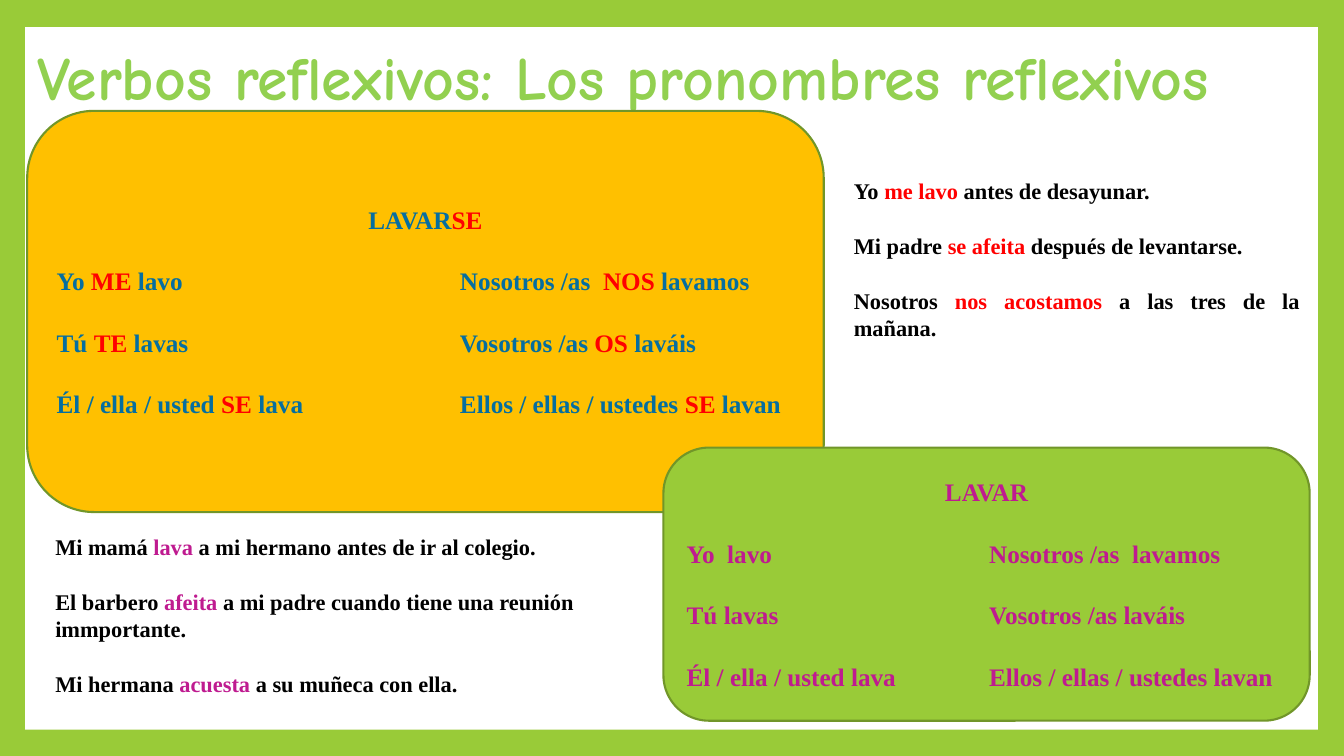
from pptx import Presentation
from pptx.dml.color import RGBColor
from pptx.enum.shapes import MSO_SHAPE as Shape
from pptx.enum.text import MSO_ANCHOR as Anchor, MSO_AUTO_SIZE as AutoSize, PP_ALIGN as Align
from pptx.oxml.ns import qn
from pptx.util import Inches, Pt
from lxml import etree

COLORS = {
    "frame": "99CB38", "white": "FFFFFF", "title": "92D050", "gold": "FFC000",
    "outline": "719629", "blue": "056EA0", "red": "FF0000",
    "magenta": "BF1B90", "black": "000000",
}


def color(name):
    return RGBColor.from_string(COLORS[name])


class VerbSlide:
    """Style and current slide; an asterisk switches the accent colour on or off."""
    title_font = "Comic Neue"
    body_font = "Times New Roman"

    def __init__(self, deck):
        self.page = deck.slides.add_slide(deck.slide_layouts[5])
        fill = self.page.background.fill
        fill.solid()
        fill.fore_color.rgb = color("frame")

    def style(self, span, font, size, ink):
        span.font.name = font
        span.font.size = Pt(size)
        span.font.bold = True
        span.font.color.rgb = color(ink)

    def title(self, text, left, top, width, height):
        box = self.page.shapes.title
        box.left, box.top = Inches(left), Inches(top)
        box.width, box.height = Inches(width), Inches(height)
        frame = box.text_frame
        frame.text = text
        frame.word_wrap = True
        frame.auto_size = AutoSize.NONE
        frame.vertical_anchor = Anchor.MIDDLE
        para = frame.paragraphs[0]
        para.alignment = Align.LEFT
        para.line_spacing = 0.9
        self.style(para.runs[0], self.title_font, 44, "title")

    def panel(self, kind, fill, left, top, width, height, outline=None):
        box = self.page.shapes.add_shape(
            kind, Inches(left), Inches(top), Inches(width), Inches(height))
        box.shadow.inherit = False
        box.fill.solid()
        box.fill.fore_color.rgb = color(fill)
        if outline:
            box.line.color.rgb = color(outline)
            box.line.width = Pt(1.5)
        else:
            box.line.fill.background()
        return box

    def lines(self, frame, texts, size, gap, ink, accent, align):
        frame.word_wrap = True
        for number, text in enumerate(texts):
            para = frame.add_paragraph() if number else frame.paragraphs[0]
            para.alignment = align
            if number:
                para.space_before = Pt(gap)
            for part, words in enumerate(text.split("*")):
                if words:
                    span = para.add_run()
                    span.text = words
                    self.style(span, self.body_font, size, accent if part % 2 else ink)

    def conjugation(self, texts, fill, ink, accent, second_column, *place):
        box = self.panel(Shape.FLOWCHART_ALTERNATE_PROCESS, fill, *place, outline="outline")
        frame = box.text_frame
        frame.vertical_anchor = Anchor.MIDDLE
        self.lines(frame, texts, 18, 22.4, ink, accent, Align.LEFT)
        frame.paragraphs[0].alignment = Align.CENTER
        for para in frame.paragraphs[1:]:
            tabs = etree.SubElement(para._p.get_or_add_pPr(), qn("a:tabLst"))
            etree.SubElement(tabs, qn("a:tab"), pos=str(Inches(second_column)), algn="l")

    def examples(self, texts, accent, align, left, top, width, height):
        box = self.page.shapes.add_textbox(
            Inches(left), Inches(top), Inches(width), Inches(height))
        self.lines(box.text_frame, texts, 16, 20, "black", accent, align)
        box.text_frame.auto_size = AutoSize.SHAPE_TO_FIT_TEXT


def main():
    deck = Presentation()
    deck.slide_width, deck.slide_height = Inches(13.33), Inches(7.5)
    slide = VerbSlide(deck)

    # White page inside the green frame, placed behind the title
    page_panel = slide.panel(Shape.RECTANGLE, "white", 0.25, 0.27, 12.82, 6.97)
    slide.page.shapes.title._element.addprevious(page_panel._element)
    slide.title("Verbos reflexivos: Los pronombres reflexivos", 0.27, 0.38, 12.76, 0.84)

    # Reflexive and plain conjugations
    slide.conjugation([
        "LAVAR*SE",
        "Yo *ME *lavo\tNosotros /as  *NOS *lavamos",
        "Tú *TE *lavas\tVosotros /as *OS *laváis",
        "Él / ella / usted *SE *lava\tEllos / ellas / ustedes *SE *lavan",
    ], "gold", "blue", "red", 4, 0.27, 1.1, 7.9, 3.98)
    slide.conjugation([
        "LAVAR",
        "Yo  lavo\tNosotros /as  lavamos",
        "Tú lavas\tVosotros /as laváis",
        "Él / ella / usted lava\tEllos / ellas / ustedes lavan",
    ], "frame", "magenta", "magenta", 3, 6.58, 4.44, 6.41, 2.71)

    # Example sentences for each conjugation
    slide.examples([
        "Yo *me lavo *antes de desayunar.",
        "Mi padre *se afeita *después de levantarse.",
        "Nosotros *nos acostamos* a las tres de la mañana.",
    ], "red", Align.JUSTIFY, 8.37, 1.71, 4.62, 1.71)
    slide.examples([
        "Mi mamá *lava* a mi hermano antes de ir al colegio.",
        "El barbero *afeita* a mi padre cuando tiene una reunión immportante.",
        "Mi hermana *acuesta* a su muñeca con ella.",
    ], "magenta", Align.LEFT, 0.45, 5.24, 5.71, 1.71)

    deck.save("out.pptx")


if __name__ == "__main__":
    main()
